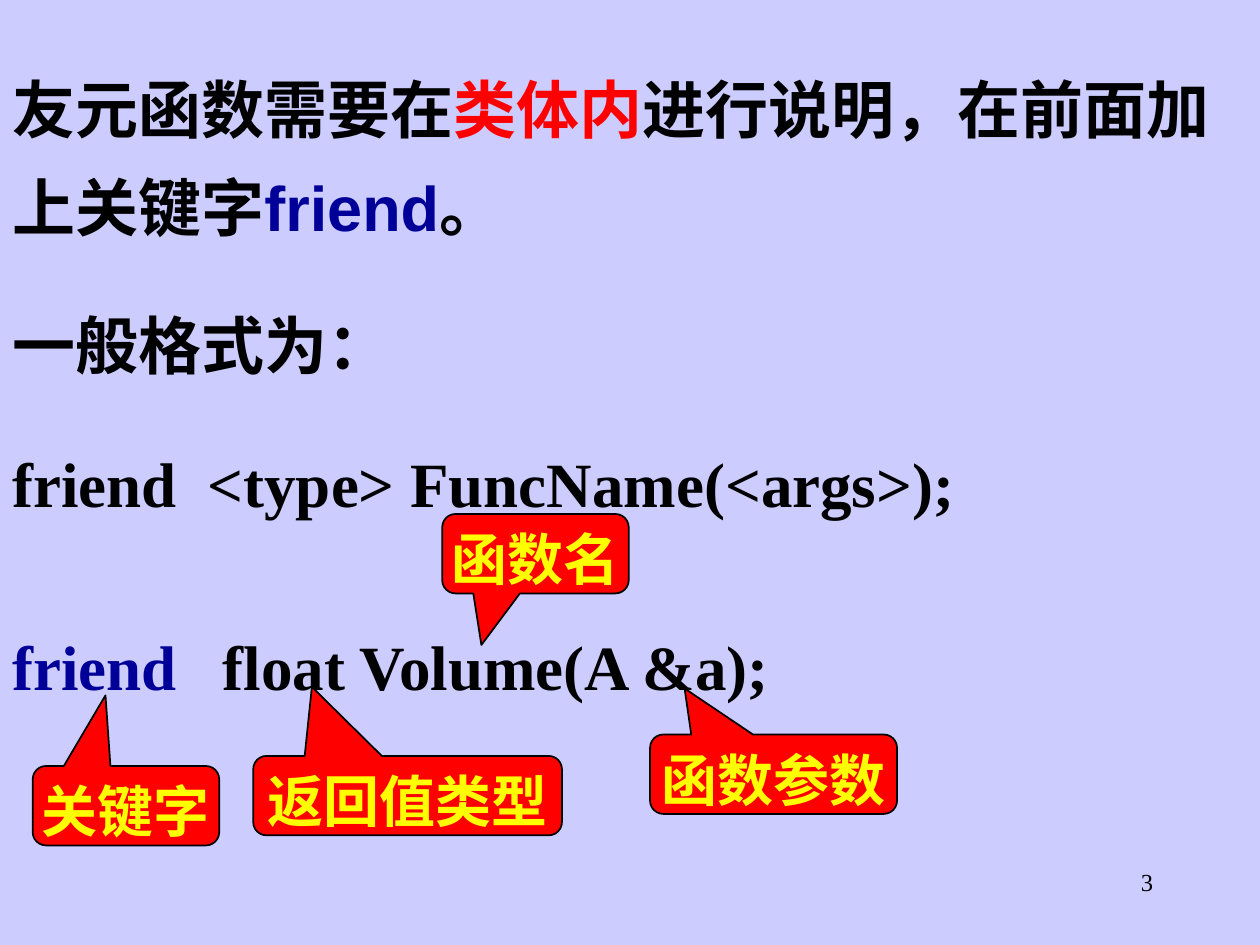
from dataclasses import dataclass

from pptx import Presentation
from pptx.dml.color import RGBColor
from pptx.enum.shapes import MSO_SHAPE
from pptx.enum.text import MSO_ANCHOR, MSO_AUTO_SIZE, PP_ALIGN
from pptx.oxml import parse_xml
from pptx.oxml.ns import nsdecls
from pptx.util import Inches, Pt


@dataclass(frozen=True)
class Theme:
    background: RGBColor = RGBColor(0xCC, 0xCC, 0xFF)
    ink: RGBColor = RGBColor(0, 0, 0)
    keyword: RGBColor = RGBColor(0, 0, 0x99)
    accent: RGBColor = RGBColor(0xFF, 0, 0)
    label: RGBColor = RGBColor(0xFF, 0xFF, 0)
    sans: str = "Arial"
    serif: str = "Times New Roman"
    body_size: Pt = Pt(36)
    label_size: Pt = Pt(32)
    number_size: Pt = Pt(14)


theme = Theme()
deck = Presentation()
deck.slide_width, deck.slide_height = Inches(10), Inches(7.5)
COLUMN = deck.slide_width // 100
ROW = deck.slide_height // 75

slide = deck.slides.add_slide(deck.slide_layouts[6])
slide.background.fill.solid()
slide.background.fill.fore_color.rgb = theme.background


def add_text_frame(column, row, columns, rows, wrap=True):
    box = slide.shapes.add_textbox(
        *(round(length) for length in (column * COLUMN, row * ROW, columns * COLUMN, rows * ROW)))
    box.text_frame.word_wrap = wrap
    return box.text_frame


def fill_body_paragraph(paragraph, runs, font_name, gap=0, tab=None):
    """Write (text, colour) runs in bold body type; tab is a stop in inches."""
    paragraph.line_spacing = 1.3
    paragraph.space_before = Pt(gap)
    if tab:
        paragraph._p.get_or_add_pPr().append(parse_xml(
            f'<a:tabLst {nsdecls("a")}><a:tab pos="{Inches(tab)}" algn="l"/></a:tabLst>'))
    paragraph.font.name = font_name
    paragraph.font.size = theme.body_size
    paragraph.font.bold = True
    for text, color in runs:
        run = paragraph.add_run()
        run.text = text
        run.font.color.rgb = color


# Slide number
page_number = add_text_frame(71.7, 68.3, 20.8, 5).paragraphs[0]
page_number.text = "3"
page_number.alignment = PP_ALIGN.RIGHT
page_number.font.name = theme.serif
page_number.font.size = theme.number_size
page_number.font.color.rgb = theme.ink

# Rule and general form
rule = add_text_frame(0, 3.3, 100, 38.5)
fill_body_paragraph(rule.paragraphs[0], [
    ("友元函数需要在", theme.ink),
    ("类体内", theme.accent),
    ("进行说明，在前面加上关键字", theme.ink),
    ("friend", theme.keyword),
    ("。", theme.ink),
], theme.sans)
fill_body_paragraph(rule.add_paragraph(), [("一般格式为：", theme.ink)], theme.serif, gap=22.5)
fill_body_paragraph(rule.add_paragraph(), [("friend\t<type> FuncName(<args>);", theme.ink)],
                    theme.serif, gap=22.5, tab=1.55)

# Example declaration
example = add_text_frame(0, 47.5, 62.9, 8.8, wrap=False)
fill_body_paragraph(example.paragraphs[0], [
    ("friend", theme.keyword),
    ("\tfloat Volume(A &a);", theme.ink),
], theme.serif, tab=1.67)

# Callouts: text, column, row, columns, pointer offset as shares of the callout
callouts = [
    ("关键字", 2.6, 60.8, 14.8, -0.11, -1.39),
    ("返回值类型", 20.1, 60, 24.5, -0.31, -1.37),
    ("函数名", 35.1, 40.8, 14.8, -0.29, 1.15),
    ("函数参数", 51.6, 58.3, 19.6, -0.36, -1.08),
]
for text, column, row, columns, pointer_x, pointer_y in callouts:
    callout = slide.shapes.add_shape(
        MSO_SHAPE.ROUNDED_RECTANGULAR_CALLOUT,
        round(column * COLUMN), round(row * ROW), round(columns * COLUMN), round(6.3 * ROW))
    callout.adjustments[0], callout.adjustments[1] = pointer_x, pointer_y
    callout.shadow.inherit = False
    callout.fill.solid()
    callout.fill.fore_color.rgb = theme.accent
    callout.line.color.rgb = theme.ink
    callout.line.width = Pt(1)
    frame = callout.text_frame
    frame.word_wrap = False
    frame.auto_size = MSO_AUTO_SIZE.NONE
    frame.vertical_anchor = MSO_ANCHOR.TOP
    frame.margin_left = frame.margin_right = Inches(0.02)
    frame.margin_top = frame.margin_bottom = 0
    label = frame.paragraphs[0]
    label.text = text
    label.alignment = PP_ALIGN.CENTER
    label.line_spacing = 1.1
    label.font.name = theme.serif
    label.font.size = theme.label_size
    label.font.bold = True
    label.font.color.rgb = theme.label

deck.save("out.pptx")
